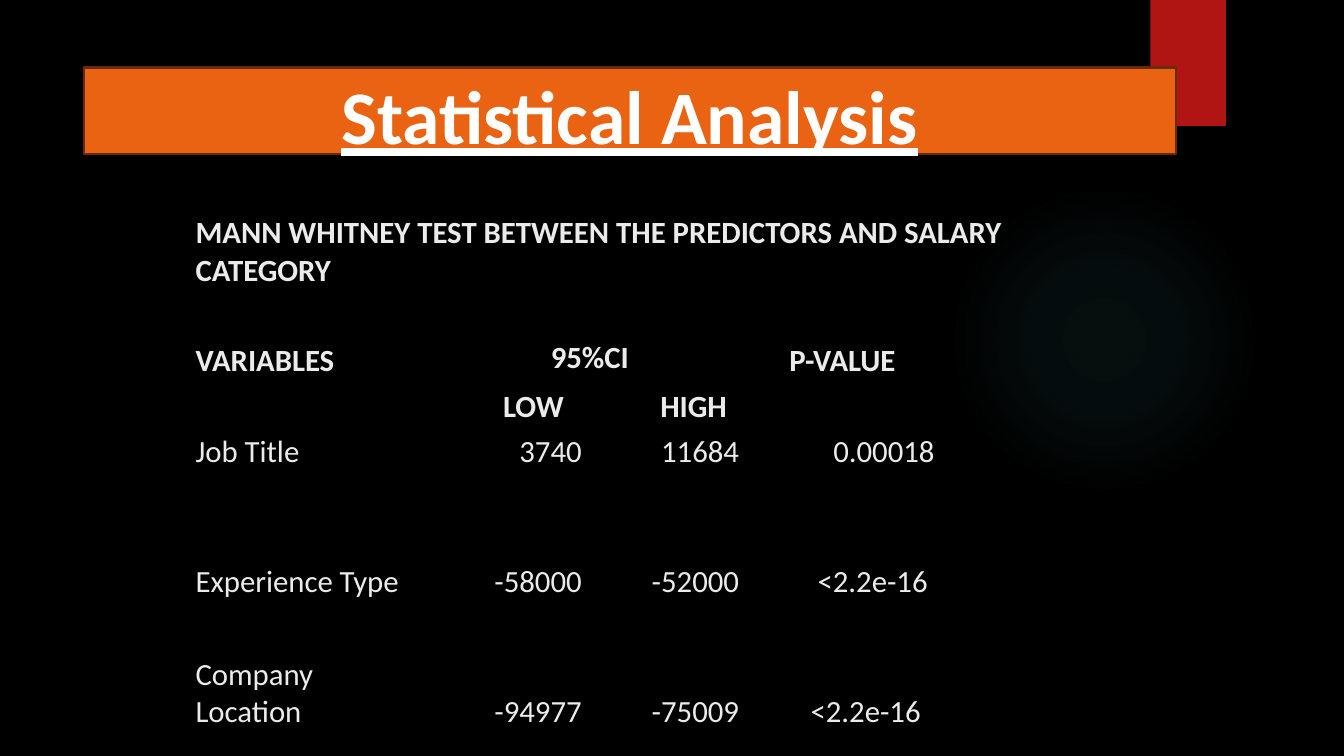
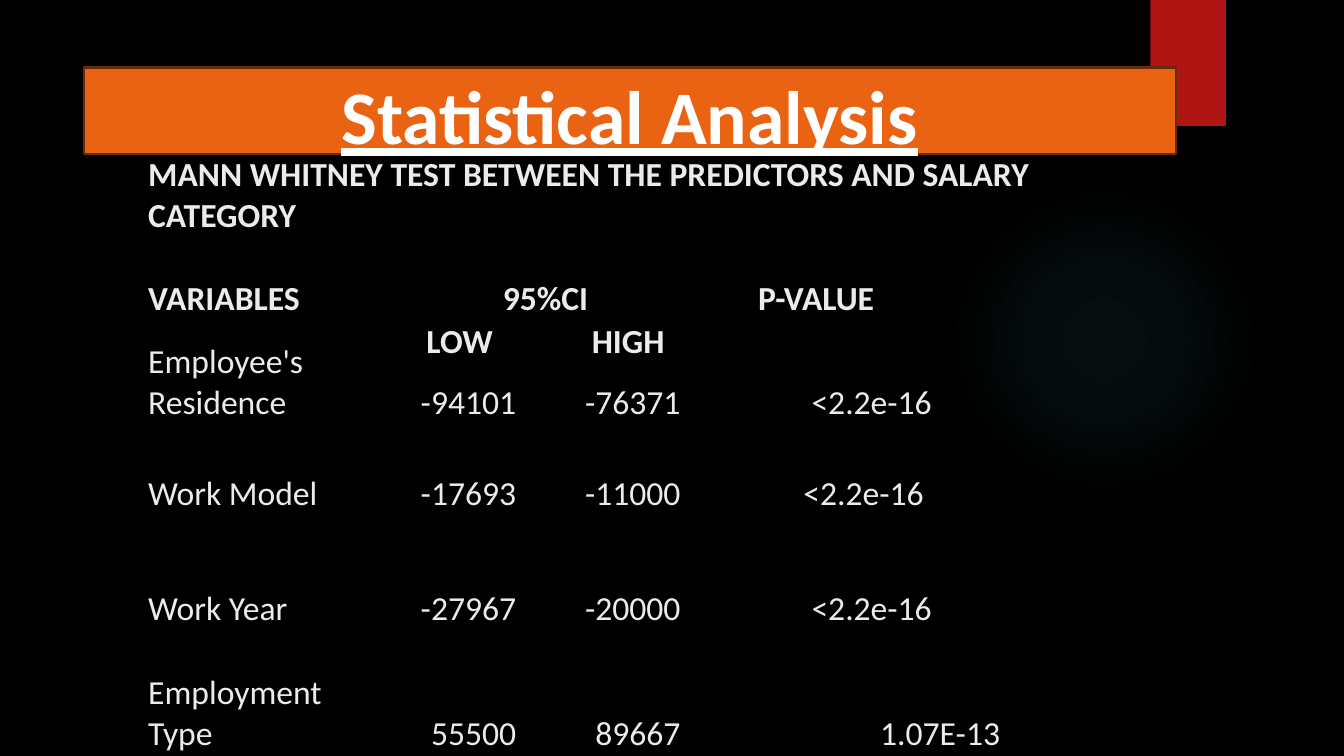
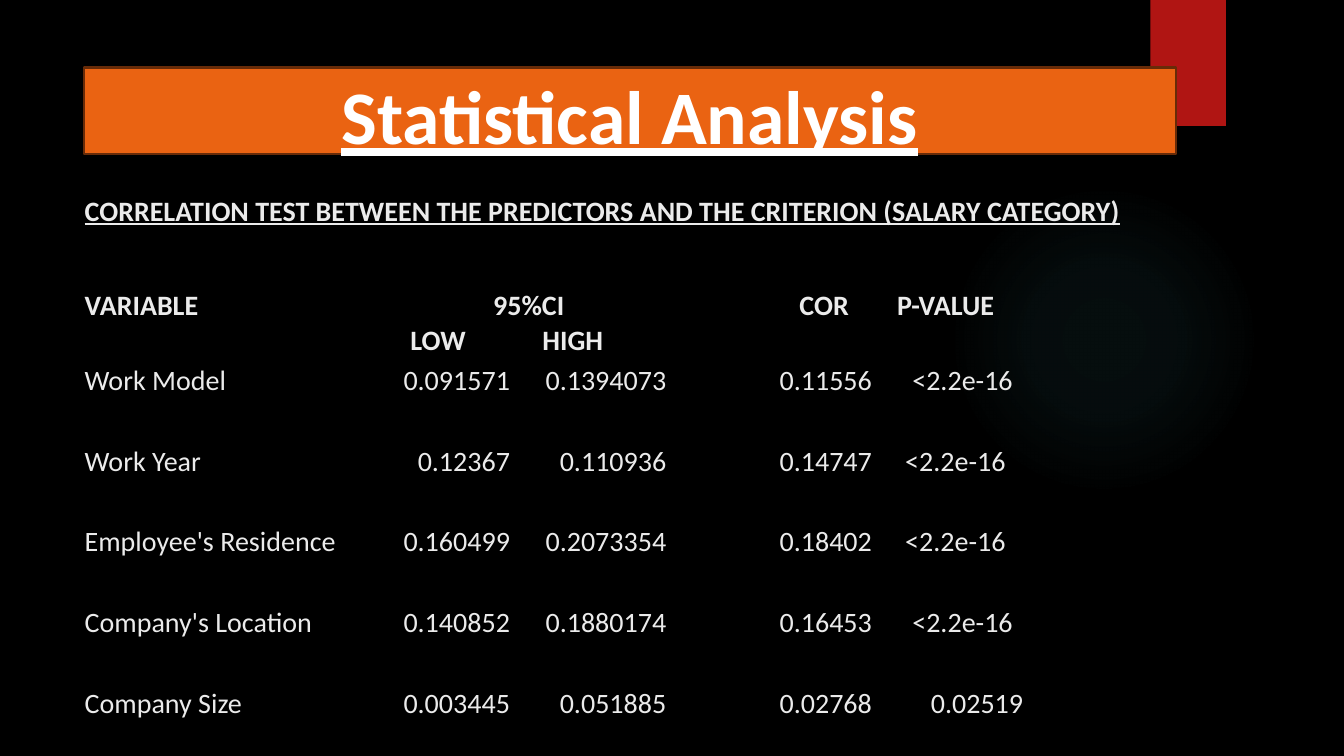
"""Build three statistical analysis slides with test result tables."""
from dataclasses import dataclass

from pptx import Presentation
from pptx.dml.color import RGBColor
from pptx.enum.shapes import MSO_SHAPE
from pptx.enum.text import MSO_ANCHOR, MSO_AUTO_SIZE, PP_ALIGN
from pptx.oxml import parse_xml
from pptx.oxml.ns import nsdecls, qn
from pptx.util import Inches, Pt

FONT = "Calibri"
BLACK, WHITE, TEXT = "000000", "FFFFFF", "EBEBEB"
ORANGE, BROWN, RED, GLOW = "EA6312", "672B08", "B01513", "50B9C1"
GLOW_STOPS = [(0, 7), (36, 6), (69, 0)]
NO_GRID_STYLE = "{2D5ABB26-0587-4C30-8999-92F81FD0307C}"
TITLE = "Statistical Analysis"
MANN_WHITNEY = "MANN WHITNEY TEST BETWEEN THE PREDICTORS AND SALARY CATEGORY"
CORRELATION = "CORRELATION TEST BETWEEN THE PREDICTORS AND THE CRITERION (SALARY CATEGORY)"


@dataclass
class Cell:
    """Hold one table entry: where it starts, its text and its format."""
    column: int
    text: str
    indent: float = 0
    span: int = 1
    align: PP_ALIGN = PP_ALIGN.LEFT
    anchor: MSO_ANCHOR = MSO_ANCHOR.BOTTOM
    bold: bool = True
    underline: bool = False


def interval(column, indent=0, anchor=MSO_ANCHOR.MIDDLE):
    """Return the centred heading over the two interval columns."""
    return Cell(column, "95%CI", indent, 2, PP_ALIGN.CENTER, anchor)


def records(columns, entries):
    """Return one row of cells per entry, with an empty row between entries."""
    rows = []
    for label, *values, indent in entries:
        row = [Cell(columns[0], label, span=2, bold=False)]
        for column, value in zip(columns[1:], values):
            align = PP_ALIGN.LEFT if value.startswith("<") else PP_ALIGN.RIGHT
            row.append(Cell(column, value, indent if align == PP_ALIGN.LEFT else 0,
                            align=align, bold=False))
        rows += [row, []]
    return rows[:-1]


MANN_WHITNEY_FIRST = {
    "left": 0.95, "top": 2.03, "size": 22,
    "columns": [0.98, 0.98, 1.31, 1.56, 1.56, 1.94, 0.98, 0.98],
    "heights": [0.84, 0.45, 0.45, 0.45, 0.45, 0.45, 0.84, 0.45, 0.84],
    "rows": [
        [Cell(1, MANN_WHITNEY, span=7)],
        [],
        [Cell(1, "VARIABLES", span=2), interval(3, 0.14), Cell(5, "P-VALUE", 0.48)],
        [Cell(3, "LOW", 0.76), Cell(4, "HIGH", 0.76)],
        *records((1, 3, 4, 5), [
            ("Job Title", "3740", "11684", "0.00018", 0),
            ("Experience Type", "-58000", "-52000", "<2.2e-16", 0.76),
            ("Company Location", "-94977", "-75009", "<2.2e-16", 0.69),
        ]),
    ],
}
MANN_WHITNEY_HEADER = {
    "left": 1.46, "top": 1.52, "size": 24,
    "columns": [1.28, 1.25, 1.49, 1.35, 2.33, 0.58, 0.93],
    "heights": [0.82, 0.41, 0.42, 0.42],
    "rows": [
        [Cell(0, MANN_WHITNEY, span=7)],
        [],
        [Cell(0, "VARIABLES", span=2), interval(2), Cell(4, "P-VALUE", 0.68)],
        [Cell(2, "LOW", 0.23), Cell(3, "HIGH", 0.38)],
    ],
}
MANN_WHITNEY_SECOND = {
    "left": 0.34, "top": 3.38, "size": 24,
    "columns": [1.12, 1.12, 1.26, 1.29, 1.63, 3.17],
    "heights": [0.82, 0.39, 0.51, 0.42, 0.72, 0.42, 0.82],
    "rows": records((1, 3, 4, 5), [
        ("Employee's Residence", "-94101", "-76371", "<2.2e-16", 1.28),
        ("Work Model", "-17693", "-11000", "<2.2e-16", 1.2),
        ("Work Year", "-27967", "-20000", "<2.2e-16", 1.28),
        ("Employment Type", "55500", "89667", "1.07E-13", 0),
    ]),
}
CORRELATION_HEADER = {
    "left": 0.83, "top": 1.92, "size": 20,
    "columns": [1.09, 1.95, 1.31, 1.44, 0.67, 1.22, 1.38, 0.67, 0.67, 0.67],
    "heights": [0.35, 0.35, 0.58, 0.35],
    "rows": [
        [Cell(0, CORRELATION, span=10, underline=True)],
        [],
        [Cell(0, "VARIABLE", span=2), interval(2, anchor=MSO_ANCHOR.BOTTOM),
         Cell(5, "COR", 0.63), Cell(6, "P-VALUE", 0.38)],
        [Cell(2, "LOW", 0.19), Cell(3, "HIGH", 0.19)],
    ],
}
CORRELATION_BODY = {
    "left": 0.83, "top": 3.55, "size": 20,
    "columns": [0.72, 2.1, 1.42, 1.55, 0.72, 1.32, 1.5],
    "heights": [0.4] * 9,
    "rows": records((0, 2, 3, 5, 6), [
        ("Work Model", "0.091571", "0.1394073", "0.11556", "<2.2e-16", 0.38),
        ("Work Year", "0.12367", "0.110936", "0.14747", "<2.2e-16", 0.31),
        ("Employee's Residence", "0.160499", "0.2073354", "0.18402", "<2.2e-16", 0.31),
        ("Company's Location", "0.140852", "0.1880174", "0.16453", "<2.2e-16", 0.38),
        ("Company Size", "0.003445", "0.051885", "0.02768", "0.02519", 0),
    ]),
}
SLIDES = [
    [MANN_WHITNEY_FIRST],
    [MANN_WHITNEY_SECOND, MANN_WHITNEY_HEADER],
    [CORRELATION_HEADER, CORRELATION_BODY],
]


def color(value):
    """Return the colour for a hex string."""
    return RGBColor.from_string(value)


def format_font(font, size, value, bold, underline):
    """Set the shared typeface and the given look on a font."""
    font.name, font.size = FONT, Pt(size)
    font.bold, font.underline = bold, underline
    font.color.rgb = color(value)


def decorate_layout(layout, slide):
    """Set the black background and move a glow and a ribbon to the layout."""
    layout.background.fill.solid()
    layout.background.fill.fore_color.rgb = color(BLACK)
    glow = slide.shapes.add_shape(
        MSO_SHAPE.OVAL, Inches(9.41), Inches(1.83), Inches(3.08), Inches(3.08))
    glow.fill.background()
    stops = "".join(
        f'<a:gs pos="{position * 1000}"><a:srgbClr val="{GLOW}">'
        f'<a:alpha val="{alpha * 1000}"/></a:srgbClr></a:gs>'
        for position, alpha in GLOW_STOPS)
    gradient = parse_xml(
        f'<a:gradFill {nsdecls("a")}><a:gsLst>{stops}</a:gsLst><a:path path="circle">'
        '<a:fillToRect l="50000" t="50000" r="50000" b="50000"/></a:path></a:gradFill>')
    properties = glow.element.spPr
    properties.replace(properties.find(qn("a:noFill")), gradient)
    ribbon = slide.shapes.add_shape(
        MSO_SHAPE.RECTANGLE, Inches(11.41), 0, Inches(0.75), Inches(1.25))
    ribbon.fill.solid()
    ribbon.fill.fore_color.rgb = color(RED)
    for shape in (glow, ribbon):
        shape.line.fill.background()
        shape.shadow.inherit = False
        layout.shapes.element.append(shape.element)


def add_title(slide):
    """Turn the title placeholder into the orange banner."""
    title = slide.shapes.title
    title.left, title.top = Inches(0.83), Inches(0.67)
    title.width, title.height = Inches(10.83), Inches(0.86)
    title.fill.solid()
    title.fill.fore_color.rgb = color(ORANGE)
    title.line.color.rgb = color(BROWN)
    title.line.width = Pt(1.5)
    frame = title.text_frame
    frame.text = TITLE
    frame.word_wrap = True
    frame.auto_size = MSO_AUTO_SIZE.NONE
    frame.vertical_anchor = MSO_ANCHOR.MIDDLE
    paragraph = frame.paragraphs[0]
    paragraph.alignment = PP_ALIGN.CENTER
    paragraph.line_spacing = 1.07
    paragraph.space_after = Pt(8)
    format_font(paragraph.font, 54, WHITE, True, True)


def add_results(slide, content):
    """Add one borderless table and fill in its cells."""
    columns, heights = content["columns"], content["heights"]
    frame = slide.shapes.add_table(
        len(heights), len(columns), Inches(content["left"]), Inches(content["top"]),
        Inches(sum(columns)), Inches(sum(heights)))
    table = frame.table
    table.first_row = table.horz_banding = False
    for style in frame.element.iter(qn("a:tableStyleId")):
        style.text = NO_GRID_STYLE
    for column, width in zip(table.columns, columns):
        column.width = Inches(width)
    for row, height in zip(table.rows, heights):
        row.height = Inches(height)
    for cell in table.iter_cells():
        cell.fill.background()
        cell.margin_left = cell.margin_right = cell.margin_top = Inches(0.01)
        cell.margin_bottom = 0
    for index, row in enumerate(content["rows"]):
        for entry in row:
            cell = table.cell(index, entry.column)
            if entry.span > 1:
                cell.merge(table.cell(index, entry.column + entry.span - 1))
            cell.text = entry.text
            cell.margin_left = Inches(0.01 + entry.indent)
            cell.vertical_anchor = entry.anchor
            paragraph = cell.text_frame.paragraphs[0]
            paragraph.alignment = entry.align
            format_font(paragraph.font, content["size"], TEXT, entry.bold, entry.underline)


def main():
    """Create the presentation and save it."""
    presentation = Presentation()
    presentation.slide_width, presentation.slide_height = Inches(13.33), Inches(7.5)
    layout = presentation.slide_layouts[5]
    for number, tables in enumerate(SLIDES):
        slide = presentation.slides.add_slide(layout)
        if number == 0:
            decorate_layout(layout, slide)
        add_title(slide)
        for content in tables:
            add_results(slide, content)
    presentation.save("out.pptx")


if __name__ == "__main__":
    main()
